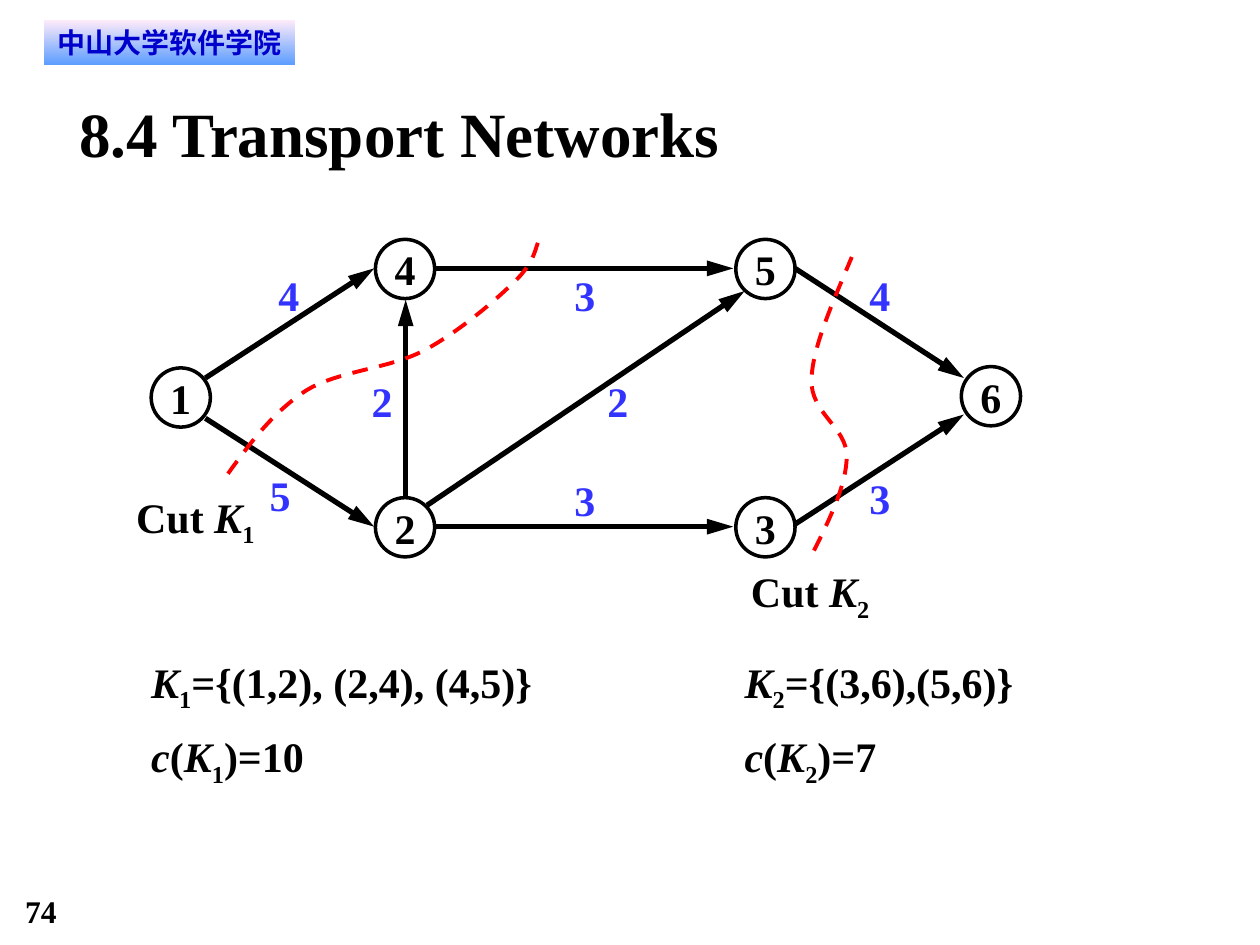
from lxml.etree import SubElement
from pptx import Presentation
from pptx.dml.color import RGBColor
from pptx.enum.dml import MSO_LINE as Dash
from pptx.enum.shapes import MSO_CONNECTOR as Conn, MSO_SHAPE as Shape
from pptx.enum.text import MSO_ANCHOR as Anchor, MSO_AUTO_SIZE as Auto, PP_ALIGN as Align
from pptx.oxml.ns import qn
from pptx.util import Inches, Pt

BLACK = RGBColor(0x00, 0x00, 0x00)
BLUE = RGBColor(0x33, 0x33, 0xFF)
NAVY = RGBColor(0x00, 0x00, 0xCC)
RED = RGBColor(0xFF, 0x00, 0x00)
PINK = RGBColor(0xFF, 0xEB, 0xFA)
SKY = RGBColor(0x5E, 0x9E, 0xFF)
SERIF, SANS = "Times New Roman", "DejaVu Sans"

TITLE = "8.4 Transport Networks"
SCHOOL = "中山大学软件学院"
PAGE = "74"

SIZE = 0.47
NODES = {
    "1": (1.2, 2.92), "2": (2.98, 3.95), "3": (5.84, 3.95),
    "4": (2.98, 1.9), "5": (5.84, 1.9), "6": (7.63, 2.91),
}
EDGES = [
    ((1.63, 3), (2.97, 2.13), "4", (2.21, 2.14)),
    ((1.63, 3.32), (2.97, 4.18), "5", (2.14, 3.73)),
    ((3.22, 3.95), (3.22, 2.38), "2", (2.95, 2.98)),
    ((3.39, 4.01), (5.91, 2.31), "2", (4.82, 2.98)),
    ((3.46, 2.13), (5.82, 2.13), "3", (4.56, 2.14)),
    ((3.46, 4.18), (5.82, 4.18), "3", (4.56, 3.77)),
    ((6.31, 2.13), (7.65, 3), "4", (6.9, 2.14)),
    ((6.31, 4.16), (7.65, 3.29), "3", (6.9, 3.75)),
]
CURVES = [
    [(1.81, 3.76), (1.99, 3.51), (2.17, 3.27), (2.43, 3.1), (2.69, 2.94),
     (3.09, 2.93), (3.37, 2.78), (3.65, 2.63), (3.95, 2.37), (4.1, 2.22),
     (4.25, 2.07), (4.25, 1.96), (4.28, 1.9)],
    [(6.46, 4.37), (6.59, 4.11), (6.72, 3.84), (6.72, 3.62), (6.72, 3.39),
     (6.43, 3.28), (6.44, 3.01), (6.45, 2.75), (6.61, 2.4), (6.76, 2.04)],
]
CUTS = [
    ("1", (1.08, 3.9), (1.2, 5.07, 3.3), "={(1,2), (2,4), (4,5)}", ")=10"),
    ("2", (5.96, 4.49), (5.91, 5.07, 2.4), "={(3,6),(5,6)}", ")=7"),
]
PLAIN, ITALIC, SUB = range(3)


def style(font, size, color=BLACK, name=SERIF):
    font.size, font.name, font.bold = Pt(size), name, True
    font.color.rgb = color


def clear(frame, wrap=True):
    frame.margin_left = frame.margin_right = 0
    frame.margin_top = frame.margin_bottom = 0
    frame.word_wrap = wrap
    frame.auto_size = Auto.NONE


def label(slide, spot, lines, size=24, color=BLACK, wrap=True, gap=None):
    frame = slide.shapes.add_textbox(*map(Inches, spot)).text_frame
    clear(frame, wrap)
    for i, line in enumerate(lines):
        para = frame.add_paragraph() if i else frame.paragraphs[0]
        para.line_spacing = gap
        for text, kind in line:
            run = para.add_run()
            run.text = text
            style(run.font, size, color)
            run.font.italic = kind == ITALIC
            if kind == SUB:
                run.font._element.set("baseline", "-25000")


def node(slide, name, spot):
    disc = slide.shapes.add_shape(Shape.OVAL, *map(Inches, (*spot, SIZE, SIZE)))
    disc.shadow.inherit = False
    disc.fill.background()
    disc.line.color.rgb, disc.line.width = BLACK, Pt(2)
    frame = disc.text_frame
    clear(frame, False)
    frame.vertical_anchor = Anchor.MIDDLE
    frame.text = name
    frame.paragraphs[0].alignment = Align.CENTER
    style(frame.paragraphs[0].runs[0].font, 24)


def edge(slide, start, end):
    line = slide.shapes.add_connector(Conn.STRAIGHT, *map(Inches, start + end))
    line.line.color.rgb, line.line.width = BLACK, Pt(3)
    tip = SubElement(line.line._get_or_add_ln(), qn("a:tailEnd"))
    for key, value in (("type", "triangle"), ("w", "med"), ("len", "lg")):
        tip.set(key, value)
    SubElement(line._element.spPr, qn("a:effectLst"))


def trace(knots, steps=16):
    points = [knots[0]]
    for i in range(0, len(knots) - 1, 3):
        for n in range(1, steps + 1):
            t = n / steps
            u = 1 - t
            parts = (u ** 3, 3 * u * u * t, 3 * u * t * t, t ** 3)
            points.append(tuple(sum(w * k[axis] for w, k in zip(parts, knots[i:i + 4]))
                                for axis in (0, 1)))
    return points


def curve(slide, knots):
    points = [tuple(map(Inches, p)) for p in trace(knots)]
    build = slide.shapes.build_freeform(*points[0])
    build.add_line_segments(points[1:], close=False)
    cut = build.convert_to_shape()
    cut.shadow.inherit = False
    cut.fill.background()
    cut.line.color.rgb, cut.line.width = RED, Pt(2.25)
    cut.line.dash_style = Dash.DASH


def badge(slide):
    box = slide.shapes.add_shape(Shape.RECTANGLE, *map(Inches, (0.35, 0.16, 1.99, 0.35)))
    box.shadow.inherit = False
    box.line.fill.background()
    box.fill.gradient()
    box.fill.gradient_angle = 270
    for stop, place, color in zip(box.fill.gradient_stops, (0, 1), (PINK, SKY)):
        stop.position, stop.color.rgb = place, color
    frame = box.text_frame
    clear(frame)
    frame.vertical_anchor = Anchor.MIDDLE
    frame.text = SCHOOL
    frame.paragraphs[0].alignment = Align.CENTER
    style(frame.paragraphs[0].runs[0].font, 16, NAVY, SANS)


def head(slide):
    title = slide.shapes.title
    title.left, title.top, title.width, title.height = map(Inches, (0.63, 0.75, 8.75, 0.6))
    frame = title.text_frame
    clear(frame)
    frame.vertical_anchor = Anchor.TOP
    frame.text = TITLE
    frame.paragraphs[0].alignment = Align.LEFT
    style(frame.paragraphs[0].runs[0].font, 36)


def main():
    deck = Presentation()
    deck.slide_width, deck.slide_height = Inches(10), Inches(7.5)
    slide = deck.slides.add_slide(deck.slide_layouts[5])
    head(slide)
    badge(slide)
    label(slide, (0.2, 7.08, 0.75, 0.3), [[(PAGE, PLAIN)]], 18)
    for name, spot in NODES.items():
        node(slide, name, spot)
    for start, end, flow, spot in EDGES:
        edge(slide, start, end)
        label(slide, (*spot, 0.17, 0.4), [[(flow, PLAIN)]], color=BLUE, wrap=False)
    for knots in CURVES:
        curve(slide, knots)
    for index, spot, (left, top, width), pairs, total in CUTS:
        cut = [("K", ITALIC), (index, SUB)]
        label(slide, (*spot, 0.95, 0.46), [[("Cut ", PLAIN), *cut]])
        rows = [[*cut, (pairs, PLAIN)],
                [("c", ITALIC), ("(", PLAIN), *cut, (total, PLAIN)]]
        label(slide, (left, top, width, 1.18), rows, gap=1.3)
    deck.save("out.pptx")


if __name__ == "__main__":
    main()
